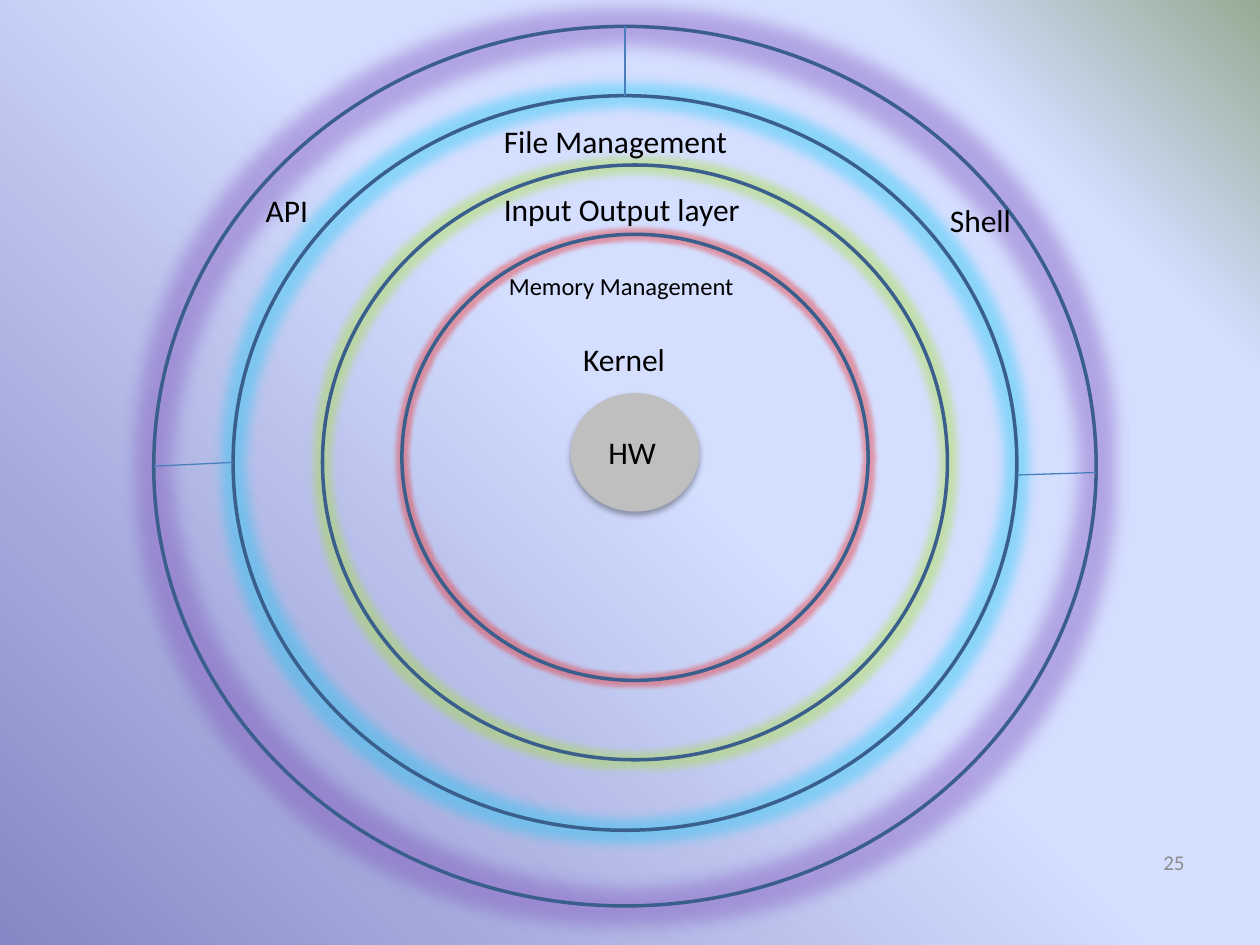
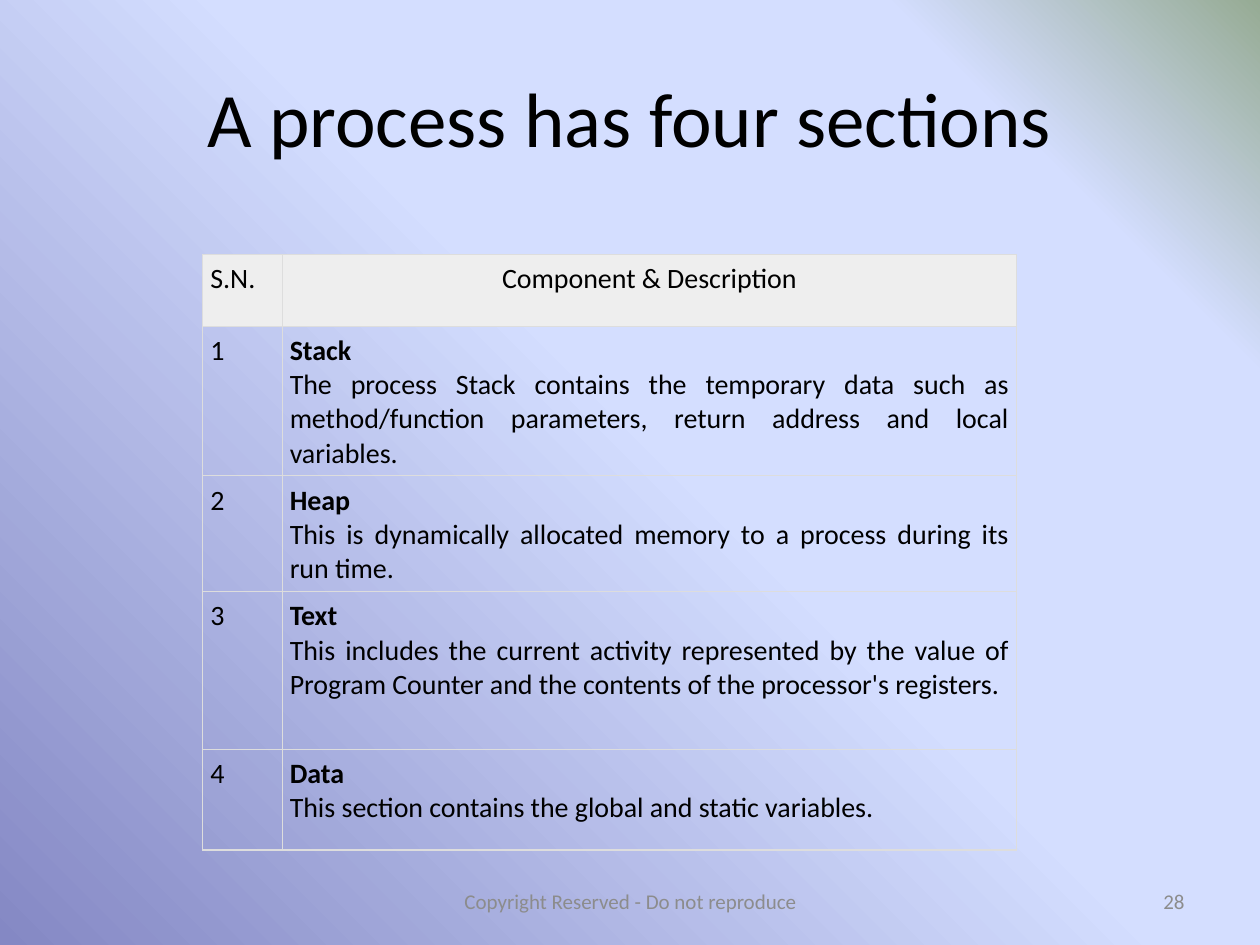
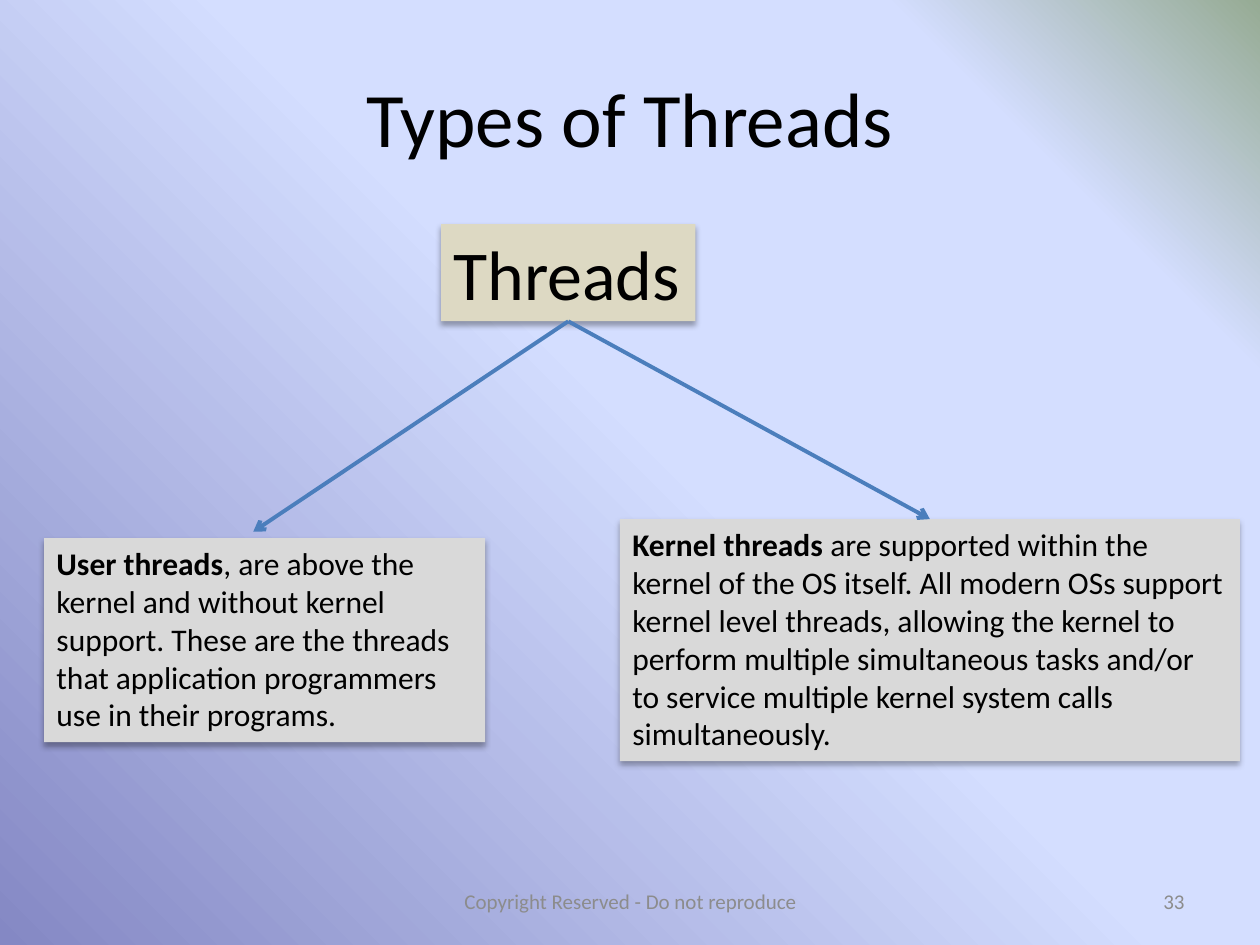
import lxml.etree
import pptx
import pptx.dml.color
import pptx.enum.shapes
import pptx.enum.text
import pptx.oxml.ns
import pptx.util

Inches = pptx.util.Inches
Align = pptx.enum.text.PP_ALIGN
Anchor = pptx.enum.text.MSO_ANCHOR
Shape = pptx.enum.shapes.MSO_SHAPE

COLOURS = {
    "text": "000000", "footer": "8C8C8C", "ring": "3A5F8C", "line": "4B7EBC",
    "hardware": "BFBFBF", "card": "D9D9D9", "root": "DDD9C3",
    "border": "DDDDDD", "header": "EEEEEE",
    "purple": "7E4DB9", "blue": "1DC7F4", "green": "A8E034", "red": "EB2722",
}
BACKGROUND = [(0, "8488C4"), (53, "D4DEFF"), (83, "D4DEFF"), (100, "96AB94")]
FONT = "Calibri"
FOOTER = "Copyright Reserved - Do not reproduce"


def rgb(name):
    return pptx.dml.color.RGBColor.from_string(COLOURS[name])


def add_xml(parent, tag, **attributes):
    values = {key: str(value) for key, value in attributes.items()}
    return lxml.etree.SubElement(parent, pptx.oxml.ns.qn(tag), values)


def add_colour(parent, value, alpha=None):
    colour = add_xml(parent, "a:srgbClr", val=value)
    if alpha:
        add_xml(colour, "a:alpha", val=alpha * 1000)


def write(frame, text, size=18, colour="text", align=Align.LEFT, bold=""):
    for index, line in enumerate(text.split("\n")):
        para = frame.add_paragraph() if index else frame.paragraphs[0]
        para.alignment = align
        lead = bold if line.startswith(bold) else ""
        for part, heavy in ((lead, True), (line[len(lead):], False)):
            if part:
                span = para.add_run()
                span.text = part
                span.font.name = FONT
                span.font.size = pptx.util.Pt(size)
                span.font.bold = heavy
                span.font.color.rgb = rgb(colour)


class Lecture:
    def __init__(self):
        self.deck = pptx.Presentation()
        self.deck.slide_width = Inches(10)
        self.deck.slide_height = Inches(7.5)
        self.page = None
        self.paint_background()

    def paint_background(self):
        master = self.deck.slide_master
        fill = master.background.fill
        fill.gradient()
        fill.gradient_angle = 45
        stops = next(master.element.iter(pptx.oxml.ns.qn("a:gsLst")))
        for stop in list(stops):
            stops.remove(stop)
        for position, colour in BACKGROUND:
            add_colour(add_xml(stops, "a:gs", pos=position * 1000), colour)

    def add_page(self, number, title=None, number_top=6.95):
        layout = self.deck.slide_layouts[5 if title else 6]
        self.page = self.deck.slides.add_slide(layout)
        if title:
            box = self.page.shapes.title
            box.left, box.top = Inches(0.5), Inches(0.3)
            box.width, box.height = Inches(9), Inches(1.25)
            box.text_frame.vertical_anchor = Anchor.MIDDLE
            write(box.text_frame, title, size=44, align=Align.CENTER)
            self.footer(FOOTER, 3.42, 6.95, 3.17, Align.CENTER)
        self.footer(str(number), 7.17, number_top, 2.33, Align.RIGHT)

    def text_box(self, left, top, width, height):
        return self.page.shapes.add_textbox(
            Inches(left), Inches(top), Inches(width), Inches(height))

    def footer(self, text, left, top, width, align):
        frame = self.text_box(left, top, width, 0.4).text_frame
        frame.word_wrap = True
        frame.vertical_anchor = Anchor.MIDDLE
        write(frame, text, size=12, colour="footer", align=align)

    def label(self, text, left, top, width, height=0.4, size=18):
        frame = self.text_box(left, top, width, height).text_frame
        frame.word_wrap = False
        frame.auto_size = pptx.enum.text.MSO_AUTO_SIZE.SHAPE_TO_FIT_TEXT
        write(frame, text, size=size)

    def plain_shape(self, kind, left, top, width, height):
        shape = self.page.shapes.add_shape(
            kind, Inches(left), Inches(top), Inches(width), Inches(height))
        shape.shadow.inherit = False
        effects = shape.element.spPr.find(pptx.oxml.ns.qn("a:effectLst"))
        return shape, effects

    def ring(self, left, top, width, height, glow, radius):
        shape, effects = self.plain_shape(Shape.OVAL, left, top, width, height)
        shape.fill.background()
        shape.line.color.rgb = rgb("ring")
        shape.line.width = pptx.util.Pt(2)
        halo = add_xml(effects, "a:glow", rad=pptx.util.Pt(radius))
        add_colour(halo, COLOURS[glow], alpha=40)

    def raised(self, kind, left, top, width, height, fill):
        shape, effects = self.plain_shape(kind, left, top, width, height)
        shape.fill.solid()
        shape.fill.fore_color.rgb = rgb(fill)
        shape.line.fill.background()
        shadow = add_xml(effects, "a:outerShdw", blurRad=pptx.util.Pt(3.5),
                         dist=pptx.util.Pt(2.2), dir=5400000, rotWithShape=0)
        add_colour(shadow, "000000", alpha=32)
        return shape

    def card(self, text, left, top, width, height, fill="card", wrap=True, **style):
        shape = self.raised(Shape.RECTANGLE, left, top, width, height, fill)
        frame = shape.text_frame
        frame.word_wrap = wrap
        frame.auto_size = pptx.enum.text.MSO_AUTO_SIZE.SHAPE_TO_FIT_TEXT
        frame.vertical_anchor = Anchor.TOP
        write(frame, text, **style)
        return shape

    def line(self, start, end, width=0.75, arrow=False):
        connector = self.page.shapes.add_connector(
            pptx.enum.shapes.MSO_CONNECTOR.STRAIGHT,
            *(Inches(value) for value in start + end))
        connector.line.color.rgb = rgb("line")
        connector.line.width = pptx.util.Pt(width)
        properties = connector.element.spPr
        if arrow:
            add_xml(properties.find(pptx.oxml.ns.qn("a:ln")), "a:tailEnd", type="arrow")
        add_xml(properties, "a:effectLst")
        return connector

    def table(self, rows, left, top, widths, heights):
        table = self.page.shapes.add_table(
            len(rows), len(widths), Inches(left), Inches(top),
            Inches(sum(widths)), Inches(sum(heights))).table
        table.first_row = table.horz_banding = False
        for column, width in zip(table.columns, widths):
            column.width = Inches(width)
        for row, height in zip(table.rows, heights):
            row.height = Inches(height)
        for row_index, (number, text, bold, align) in enumerate(rows):
            self.cell(table.cell(row_index, 0), number, row_index == 0)
            self.cell(table.cell(row_index, 1), text, row_index == 0,
                      bold=bold, align=align)

    def cell(self, cell, text, header, **style):
        cell.margin_left = cell.margin_right = Inches(0.06)
        cell.margin_top = cell.margin_bottom = Inches(0.06)
        properties = cell._tc.get_or_add_tcPr()
        for side in ("a:lnL", "a:lnR", "a:lnT", "a:lnB"):
            border = add_xml(properties, side, w=pptx.util.Pt(0.75))
            add_colour(add_xml(border, "a:solidFill"), COLOURS["border"])
        if header:
            cell.fill.solid()
            cell.fill.fore_color.rgb = rgb("header")
        else:
            cell.fill.background()
        write(cell.text_frame, text, size=16, **style)


def layers_page(lecture):
    lecture.add_page(25, number_top=6.64)
    lecture.raised(Shape.OVAL, 4.53, 3.12, 1.02, 0.94, "hardware")
    for ring in (
        (3.19, 1.86, 3.7, 3.54, "red", 5),
        (2.56, 1.31, 4.96, 4.72, "green", 8),
        (1.85, 0.76, 6.22, 5.83, "blue", 11),
        (1.22, 0.21, 7.48, 6.98, "purple", 18),
    ):
        lecture.ring(*ring)
    for label in (
        ("Kernel", 4.53, 2.65, 0.86),
        ("HW", 4.73, 3.39, 0.58),
        ("Memory Management", 3.94, 2.1, 2, 0.34, 14),
        ("Input Output layer", 3.9, 1.46, 2.1),
        ("File Management", 3.9, 0.92, 1.99),
        ("Shell", 7.44, 1.55, 0.69),
        ("API", 2.01, 1.47, 0.54),
    ):
        lecture.label(*label)
    for start, end in (
        ((4.96, 0.21), (4.96, 0.76)),
        ((1.22, 3.7), (1.85, 3.67)),
        ((8.07, 3.77), (8.7, 3.75)),
    ):
        lecture.line(start, end)


def sections_page(lecture):
    lecture.add_page(28, "A process has four sections")
    sections = [
        ("Stack", "The process Stack contains the temporary data such as "
         "method/function parameters, return address and local variables."),
        ("Heap", "This is dynamically allocated memory to a process during its run time."),
        ("Text", "This includes the current activity represented by the value of "
         "Program Counter and the contents of the processor's registers."),
        ("Data", "This section contains the global and static variables."),
    ]
    rows = [("S.N.", "Component & Description", "", Align.CENTER)]
    for number, (name, description) in enumerate(sections, 1):
        rows.append((str(number), f"{name}\n{description}", name, Align.JUSTIFY))
    lecture.table(rows, 1.61, 2.02, (0.63, 5.83), (0.57, 1.02, 0.8, 1.25, 0.8))


def threads_page(lecture):
    lecture.add_page(33, "Types of Threads")
    kernel = lecture.card(
        "Kernel threads are supported within the kernel of the OS itself. "
        "All modern OSs support kernel level threads, allowing the kernel to "
        "perform multiple simultaneous tasks and/or to service multiple kernel "
        "system calls simultaneously.",
        4.92, 4.12, 4.92, 1.92, bold="Kernel threads")
    lecture.card(
        "User threads, are above the kernel and without kernel support. These are "
        "the threads that application programmers use in their programs.",
        0.35, 4.27, 3.5, 1.62, bold="User threads")
    root = lecture.card("Threads", 3.5, 1.78, 2.02, 0.77,
                        fill="root", wrap=False, size=40)
    to_user, to_kernel = (
        lecture.line((4.51, 2.55), end, width=2.25, arrow=True)
        for end in ((2.01, 4.22), (7.38, 4.12)))
    to_user.begin_connect(root, 2)
    to_kernel.begin_connect(root, 2)
    to_kernel.end_connect(kernel, 0)


def main():
    lecture = Lecture()
    layers_page(lecture)
    sections_page(lecture)
    threads_page(lecture)
    lecture.deck.save("out.pptx")


if __name__ == "__main__":
    main()
